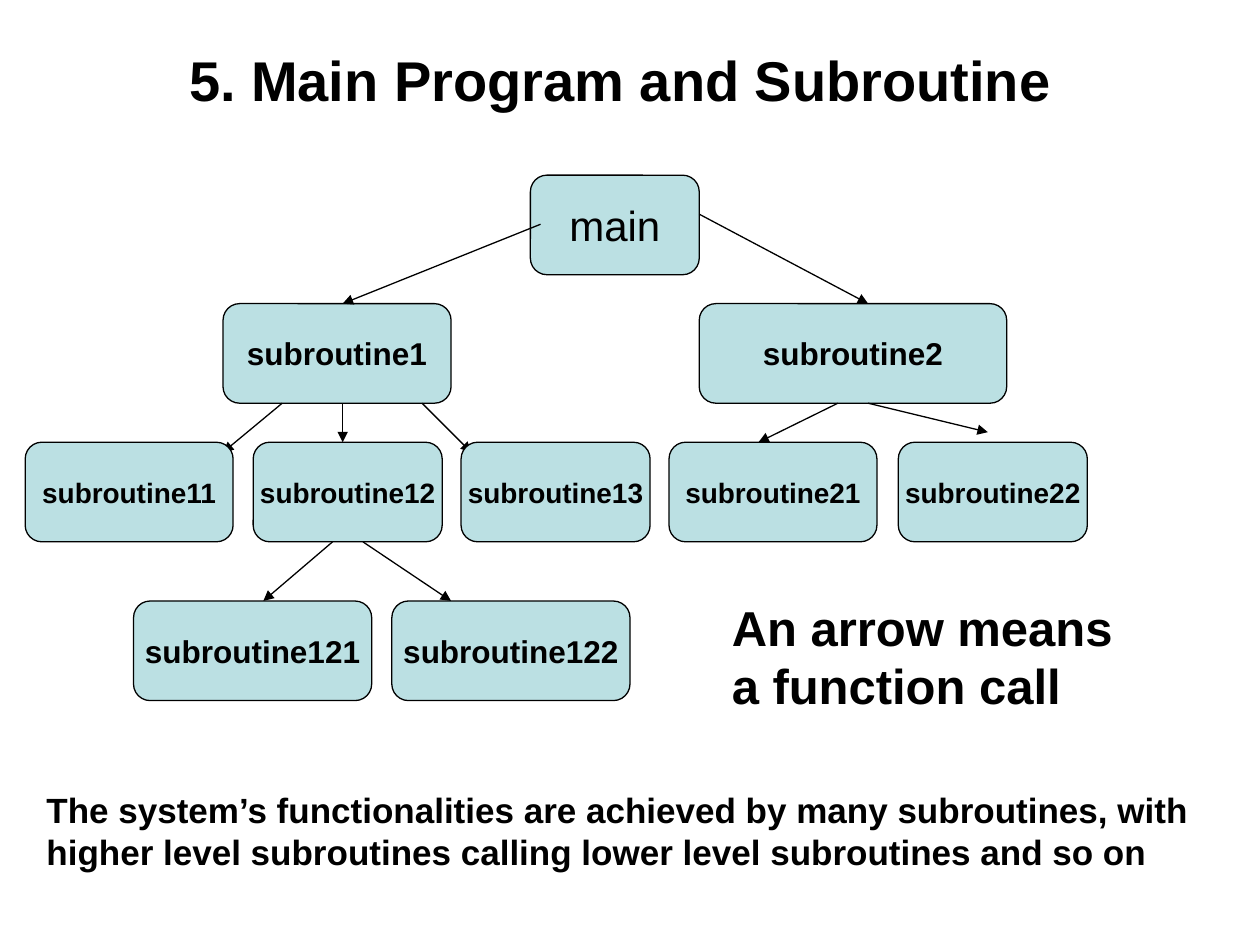
"""Build a slide with the call tree of a main program and its subroutines."""
from lxml import etree
from pptx import Presentation
from pptx.dml.color import RGBColor
from pptx.enum.shapes import MSO_CONNECTOR, MSO_SHAPE
from pptx.enum.text import MSO_ANCHOR, PP_ALIGN
from pptx.oxml.ns import qn
from pptx.util import Inches, Pt

BLACK = RGBColor(0x00, 0x00, 0x00)
WHITE = RGBColor(0xFF, 0xFF, 0xFF)
PALE_TEAL = RGBColor(0xBB, 0xE0, 0xE3)
FONT = "Arial"
ROUNDED = MSO_SHAPE.ROUNDED_RECTANGLE
STRAIGHT = MSO_CONNECTOR.STRAIGHT
CENTER, LEFT = PP_ALIGN.CENTER, PP_ALIGN.LEFT
MIDDLE, TOP = MSO_ANCHOR.MIDDLE, MSO_ANCHOR.TOP

TITLE = "5. Main Program and Subroutine"
LEGEND = ["An arrow means a function call"]
SUMMARY = [
    "The system’s functionalities are achieved by many subroutines, with",
    "higher level subroutines calling lower level subroutines and so on",
]
BOX_HEIGHT = 0.79
LEVELS = [
    (1.39, 24, False, [("main", 4.21, 1.34)]),
    (2.41, 18, True, [("subroutine1", 1.77, 1.81), ("subroutine2", 5.55, 2.44)]),
    (3.51, 16, True, [
        ("subroutine11", 0.2, 1.65),
        ("subroutine12", 2.01, 1.5),
        ("subroutine13", 3.66, 1.5),
        ("subroutine21", 5.31, 1.65),
        ("subroutine22", 7.13, 1.5),
    ]),
    (4.77, 18, True, [("subroutine121", 1.06, 1.89), ("subroutine122", 3.11, 1.89)]),
]
CALLS = [
    (4.29, 1.78, 2.72, 2.41),
    (5.55, 1.7, 6.89, 2.41),
    (2.24, 3.2, 1.77, 3.59),
    (2.72, 3.2, 2.72, 3.51),
    (3.35, 3.2, 3.74, 3.59),
    (6.65, 3.2, 6.02, 3.51),
    (6.89, 3.2, 7.84, 3.43),
    (2.64, 4.3, 2.09, 4.77),
    (2.88, 4.3, 3.58, 4.77),
]


def write(paragraph, text, size, bold=True, align=LEFT):
    paragraph.alignment = align
    run = paragraph.add_run()
    run.text = text
    run.font.name = FONT
    run.font.size = Pt(size)
    run.font.bold = bold
    run.font.color.rgb = BLACK


def add_title(slide):
    title = slide.shapes.title
    title.left, title.top = Inches(0.9), Inches(0.28)
    title.width, title.height = Inches(8.03), Inches(0.64)
    title.fill.solid()
    title.fill.fore_color.rgb = WHITE
    frame = title.text_frame
    frame.vertical_anchor = TOP
    frame.margin_left = Inches(0.6)
    frame.margin_top = Inches(0.08)
    write(frame.paragraphs[0], TITLE, 32)


def add_level(slide, top, size, bold, routines):
    for name, left, width in routines:
        routine = slide.shapes.add_shape(
            ROUNDED, Inches(left), Inches(top), Inches(width), Inches(BOX_HEIGHT))
        routine.shadow.inherit = False
        routine.fill.solid()
        routine.fill.fore_color.rgb = PALE_TEAL
        routine.line.color.rgb = BLACK
        routine.line.width = Pt(0.75)
        frame = routine.text_frame
        frame.word_wrap = False
        frame.vertical_anchor = MIDDLE
        write(frame.paragraphs[0], name, size, bold, CENTER)


def add_call(slide, ends):
    call = slide.shapes.add_connector(STRAIGHT, *map(Inches, ends))
    call.line.color.rgb = BLACK
    call.line.width = Pt(0.75)
    etree.SubElement(call.line._get_or_add_ln(), qn("a:tailEnd"), type="triangle")
    etree.SubElement(call._element.spPr, qn("a:effectLst"))


def add_note(slide, lines, place, size, spacing=1.0, gap=0):
    note = slide.shapes.add_textbox(*map(Inches, place))
    frame = note.text_frame
    frame.word_wrap = True
    for index, line in enumerate(lines):
        paragraph = frame.add_paragraph() if index else frame.paragraphs[0]
        paragraph.line_spacing = spacing
        paragraph.space_before = Pt(gap if index else 0)
        write(paragraph, line, size)


def main():
    deck = Presentation()
    deck.slide_width, deck.slide_height = Inches(10), Inches(7.5)
    slide = deck.slides.add_slide(deck.slide_layouts[5])
    add_title(slide)
    for level in LEVELS[:2]:
        add_level(slide, *level)
    for ends in CALLS:
        add_call(slide, ends)
    for level in LEVELS[2:]:
        add_level(slide, *level)
    add_note(slide, SUMMARY, (0.27, 6.27, 9.45, 0.79), 20, 0.8, 5)
    add_note(slide, LEGEND, (5.71, 4.69, 3.54, 1.04), 28)
    deck.save("out.pptx")


if __name__ == "__main__":
    main()
